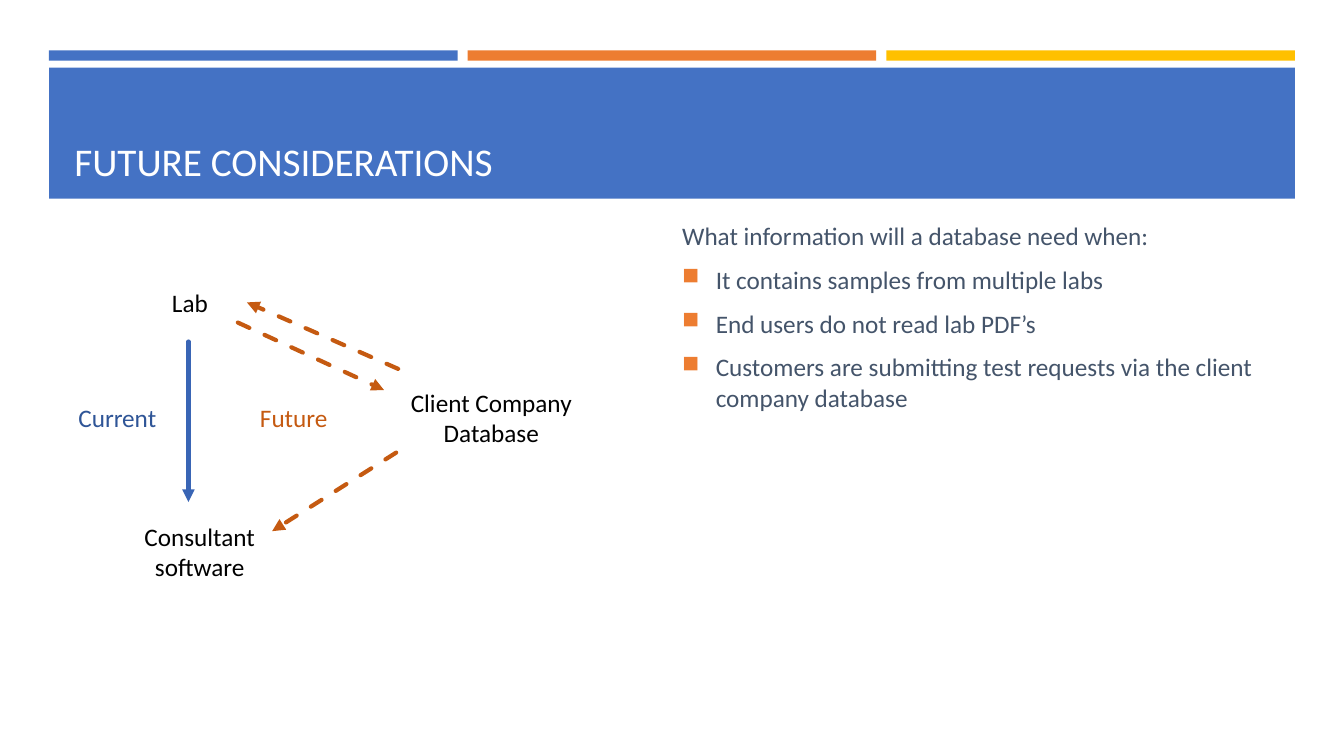
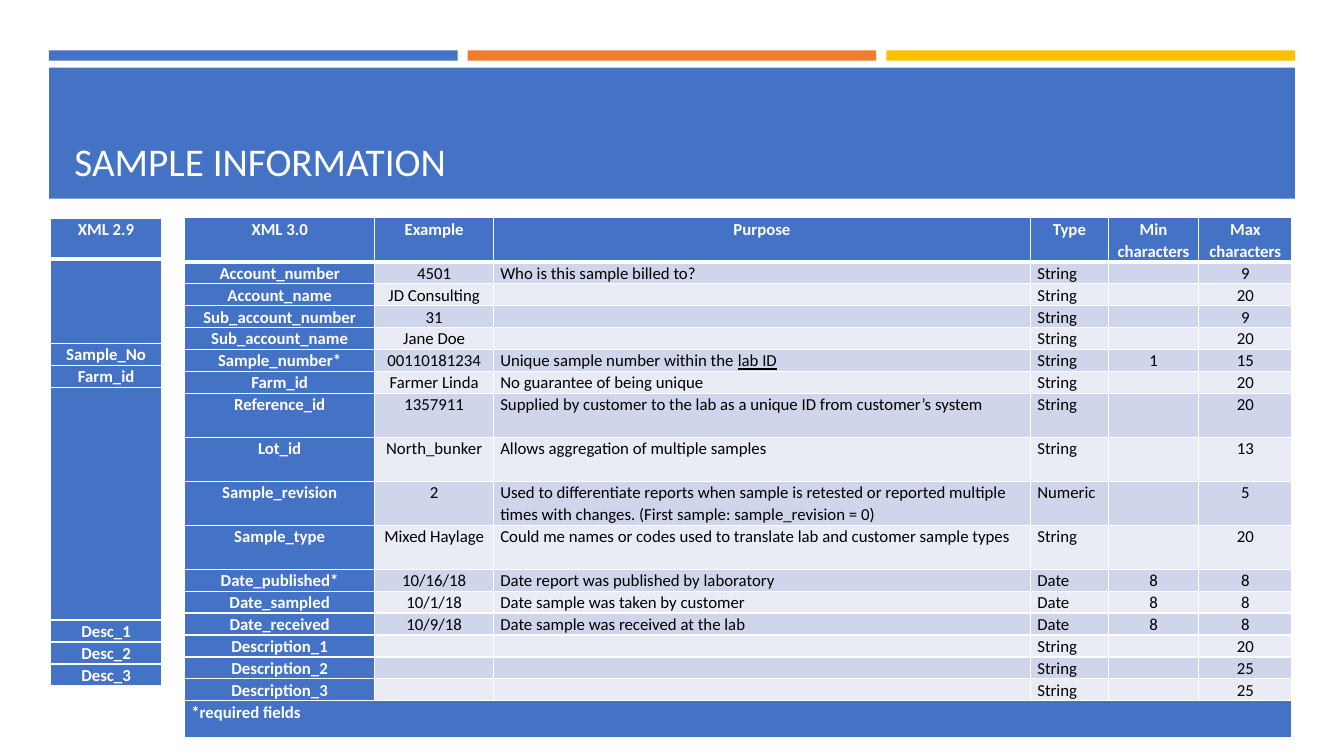
import collections
import dataclasses

import lxml.etree
import pptx
import pptx.dml.color
import pptx.enum.dml
import pptx.enum.shapes
import pptx.enum.text
import pptx.oxml.ns
import pptx.util

Box = collections.namedtuple("Box", "left top width height")
ALIGN = pptx.enum.text.PP_ALIGN
ANCHOR = pptx.enum.text.MSO_ANCHOR


@dataclasses.dataclass(frozen=True)
class Theme:
    font: str = "Calibri"
    title_size: int = 28
    body_size: int = 18
    table_size: int = 12
    blue: str = "4472C4"
    orange: str = "ED7D31"
    gold: str = "FFC000"
    white: str = "FFFFFF"
    black: str = "000000"
    body: str = "44546A"
    current_line: str = "3965B5"
    current_text: str = "2F5597"
    future: str = "C55A11"
    stripes: tuple = ("E9EBF5", "CFD5EA")


THEME = Theme()
PAGE_WIDTH, PAGE_HEIGHT = 960, 540
MARGIN = 35
BAR_TOP, BAR_HEIGHT, BAR_GAP = 36, 7.4, 7.2
BAND = Box(MARGIN, 48.4, PAGE_WIDTH - 2 * MARGIN, 93.6)
TITLE_BOX = Box(46, 55.4, 868, 80)
DIAGRAM_BOX = Box(46, 154, 434, 367)
QUESTIONS_BOX = Box(480.2, 154, 434.2, 366.5)
OLD_TABLE_BOX = Box(36.2, 156, 79.2, 334)
NEW_TABLE_BOX = Box(131.8, 155.6, 791, 372)

LINE_ROW = 15.7  # height of a table row with one line of text
TALL_ROW = 2 * LINE_ROW

OLD_FIELDS = [
    ("XML 2.9", 28.8), ("", 60.5), ("Sample_No", LINE_ROW), ("Farm_id", LINE_ROW),
    ("", 166.3), ("Desc_1", LINE_ROW), ("Desc_2", LINE_ROW), ("Desc_3", LINE_ROW),
]
NEW_COLUMNS = [
    ("XML 3.0", 136, ALIGN.CENTER), ("Example", 84.7, ALIGN.CENTER),
    ("Purpose", 383.6, ALIGN.LEFT), ("Type", 55.6, ALIGN.LEFT),
    ("Min characters", 64.7, ALIGN.CENTER), ("Max characters", 66.4, ALIGN.CENTER),
]
NEW_FIELDS = [
    ("Account_number", "4501", "Who is this sample billed to?", "String", "", "9"),
    ("Account_name", "JD Consulting", "", "String", "", "20"),
    ("Sub_account_number", "31", "", "String", "", "9"),
    ("Sub_account_name", "Jane Doe", "", "String", "", "20"),
    ("Sample_number*", "00110181234", "Unique sample number within the lab ID",
     "String", "1", "15"),
    ("Farm_id", "Farmer Linda", "No guarantee of being unique", "String", "", "20"),
    ("Reference_id", "1357911",
     "Supplied by customer to the lab as a unique ID from customer’s system",
     "String", "", "20"),
    ("Lot_id", "North_bunker", "Allows aggregation of multiple samples", "String", "", "13"),
    ("Sample_revision", "2",
     "Used to differentiate reports when sample is retested or reported multiple "
     "times with changes. (First sample: sample_revision = 0)", "Numeric", "", "5"),
    ("Sample_type", "Mixed Haylage",
     "Could me names or codes used to translate lab and customer sample types",
     "String", "", "20"),
    ("Date_published*", "10/16/18", "Date report was published by laboratory",
     "Date", "8", "8"),
    ("Date_sampled", "10/1/18", "Date sample was taken by customer", "Date", "8", "8"),
    ("Date_received", "10/9/18", "Date sample was received at the lab", "Date", "8", "8"),
    ("Description_1", "", "", "String", "", "20"),
    ("Description_2", "", "", "String", "", "25"),
    ("Description_3", "", "", "String", "", "25"),
]
TALL_FIELDS = {"Reference_id", "Lot_id", "Sample_revision", "Sample_type"}


# Basic helpers
def rgb(value):
    return pptx.dml.color.RGBColor.from_string(value)


def points(*values):
    return [pptx.util.Pt(value) for value in values]


def add_element(parent, tag, **attributes):
    element = lxml.etree.SubElement(parent, pptx.oxml.ns.qn(tag))
    for name, value in attributes.items():
        element.set(name, str(value))
    return element


def add_bullet(para):
    properties = para._p.get_or_add_pPr()
    properties.set("marL", str(pptx.util.Pt(24)))
    properties.set("indent", str(pptx.util.Pt(-24)))
    add_element(add_element(properties, "a:buClr"), "a:srgbClr", val=THEME.orange)
    add_element(properties, "a:buSzPct", val=92000)
    add_element(properties, "a:buChar", char="■")


def write(para, text, *, size=THEME.body_size, color=THEME.black, bold=False,
          align=ALIGN.LEFT, spacing=None, before=0, after=0, bullet=False, underline=None):
    """Fill one paragraph; the words given as underline are underlined."""
    if bullet:
        add_bullet(para)
    para.alignment = align
    para.line_spacing = spacing
    para.space_before, para.space_after = points(before, after)
    if not text:
        add_element(para._p, "a:endParaRPr", sz=size * 100)
    parts = text.partition(underline) if underline else (text,)
    for part in filter(None, parts):
        span = para.add_run()
        span.text = part
        span.font.name = THEME.font
        span.font.size = pptx.util.Pt(size)
        span.font.color.rgb = rgb(color)
        span.font.bold = bold
        if part == underline:
            span.font.underline = True


def add_text_box(page, box, lines, anchor=ANCHOR.TOP, **text_format):
    frame = page.shapes.add_textbox(*points(*box)).text_frame
    frame.word_wrap = True
    frame.vertical_anchor = anchor
    for index, line in enumerate(lines):
        write(frame.paragraphs[0] if index == 0 else frame.add_paragraph(),
              line, **text_format)
    return frame


def add_rectangle(page, box, color):
    shape = page.shapes.add_shape(pptx.enum.shapes.MSO_SHAPE.RECTANGLE, *points(*box))
    shape.shadow.inherit = False
    shape.fill.solid()
    shape.fill.fore_color.rgb = rgb(color)
    shape.line.fill.background()


def add_arrow(page, start, end, color, dashed):
    arrow = page.shapes.add_connector(
        pptx.enum.shapes.MSO_CONNECTOR.STRAIGHT, *points(*start, *end))
    arrow.line.width = pptx.util.Pt(3)
    arrow.line.color.rgb = rgb(color)
    if dashed:
        arrow.line.dash_style = pptx.enum.dml.MSO_LINE.DASH
    properties = arrow._element.spPr
    outline = properties.find(pptx.oxml.ns.qn("a:ln"))
    outline.set("cap", "rnd")
    add_element(outline, "a:tailEnd", type="triangle")
    add_element(properties, "a:effectLst")


# Tables
def add_grid(page, box, widths, heights):
    table = page.shapes.add_table(len(heights), len(widths), *points(*box)).table
    for column, width in zip(table.columns, widths):
        column.width = pptx.util.Pt(width)
    for row, height in zip(table.rows, heights):
        row.height = pptx.util.Pt(height)
    return table


def fill_cell(table, row, column, text, fill, **text_format):
    cell = table.cell(row, column)
    cell.margin_left = cell.margin_right = pptx.util.Pt(4.9)
    cell.margin_top = cell.margin_bottom = 0
    # White borders, thick below the heading row
    thick_side = {0: "a:lnB", 1: "a:lnT"}.get(row)
    for side in ("a:lnL", "a:lnR", "a:lnT", "a:lnB"):
        width = pptx.util.Pt(3 if side == thick_side else 1)
        border = add_element(cell._tc.get_or_add_tcPr(), side, w=width)
        add_element(add_element(border, "a:solidFill"), "a:srgbClr", val=THEME.white)
    cell.fill.solid()
    cell.fill.fore_color.rgb = rgb(fill)
    write(cell.text_frame.paragraphs[0], text, size=THEME.table_size, spacing=1.07,
          **text_format)


def fill_heading(table, row, column, text, align=ALIGN.CENTER):
    fill_cell(table, row, column, text, THEME.blue, color=THEME.white, bold=True, align=align)


def add_old_table(page, box):
    table = add_grid(page, box, [box.width], [height for _, height in OLD_FIELDS])
    for row, (name, _) in enumerate(OLD_FIELDS):
        fill_heading(table, row, 0, name)


def add_new_table(page, box):
    body_heights = [TALL_ROW if field[0] in TALL_FIELDS else LINE_ROW for field in NEW_FIELDS]
    table = add_grid(page, box, [width for _, width, _ in NEW_COLUMNS],
                     [TALL_ROW, *body_heights, 26.6])
    for column, (heading, _, _) in enumerate(NEW_COLUMNS):
        fill_heading(table, 0, column, heading)
    for row, (name, *values) in enumerate(NEW_FIELDS, 1):
        fill_heading(table, row, 0, name)
        for column, value in enumerate(values, 1):
            fill_cell(table, row, column, value, THEME.stripes[row % 2],
                      align=NEW_COLUMNS[column][2], underline="lab ID")
    # Footnote across all columns
    last = len(NEW_FIELDS) + 1
    table.cell(last, 0).merge(table.cell(last, len(NEW_COLUMNS) - 1))
    fill_heading(table, last, 0, "*required fields", ALIGN.LEFT)


# Regions of the first slide
def add_diagram(page, box):
    def place(left, top):
        return box.left + left, box.top + top

    labels = [
        (["Client Company Database"], 236.2, 119, 137.5, 51, THEME.black),
        (["Lab"], 39.7, 47.6, 100, 28.8, THEME.black),
        (["Consultant", "software"], 43.3, 214.6, 106.6, 51, THEME.black),
        (["Current"], 0, 129.7, 75.6, 28.8, THEME.current_text),
        (["Future"], 126, 129.7, 75.6, 28.8, THEME.future),
    ]
    for lines, left, top, width, height, color in labels:
        add_text_box(page, Box(*place(left, top), width, height), lines,
                     color=color, align=ALIGN.CENTER)

    add_arrow(page, place(88.6, 90), place(88.6, 204.6), THEME.current_line, dashed=False)
    future_arrows = [
        ((123.9, 76.4), (228.3, 124.6)),  # lab to database
        ((238.4, 109.5), (130.4, 62)),  # database to lab
        ((237, 169.3), (148.4, 225.4)),  # database to software
    ]
    for start, end in future_arrows:
        add_arrow(page, place(*start), place(*end), THEME.future, dashed=True)


def add_questions(page, box):
    frame = add_text_box(page, box, ["What information will a database need when:"],
                         color=THEME.body, after=6)
    for point in ("It contains samples from multiple labs",
                  "End users do not read lab PDF’s",
                  "Customers are submitting test requests via the client company database"):
        write(frame.add_paragraph(), point, color=THEME.body, before=3.6, after=6, bullet=True)


# Slides
def add_page(deck, title):
    page = deck.slides.add_slide(deck.slide_layouts[6])
    bar_width = (BAND.width - 2 * BAR_GAP) / 3
    for index, color in enumerate((THEME.blue, THEME.orange, THEME.gold)):
        left = BAND.left + index * (bar_width + BAR_GAP)
        add_rectangle(page, Box(left, BAR_TOP, bar_width, BAR_HEIGHT), color)
    add_rectangle(page, BAND, THEME.blue)
    add_text_box(page, TITLE_BOX, [title], ANCHOR.BOTTOM,
                 size=THEME.title_size, color=THEME.white)
    return page


def main():
    deck = pptx.Presentation()
    deck.slide_width, deck.slide_height = points(PAGE_WIDTH, PAGE_HEIGHT)

    page = add_page(deck, "FUTURE CONSIDERATIONS")
    add_diagram(page, DIAGRAM_BOX)
    add_questions(page, QUESTIONS_BOX)

    page = add_page(deck, "SAMPLE INFORMATION")
    add_new_table(page, NEW_TABLE_BOX)
    add_old_table(page, OLD_TABLE_BOX)

    deck.save("out.pptx")


if __name__ == "__main__":
    main()
